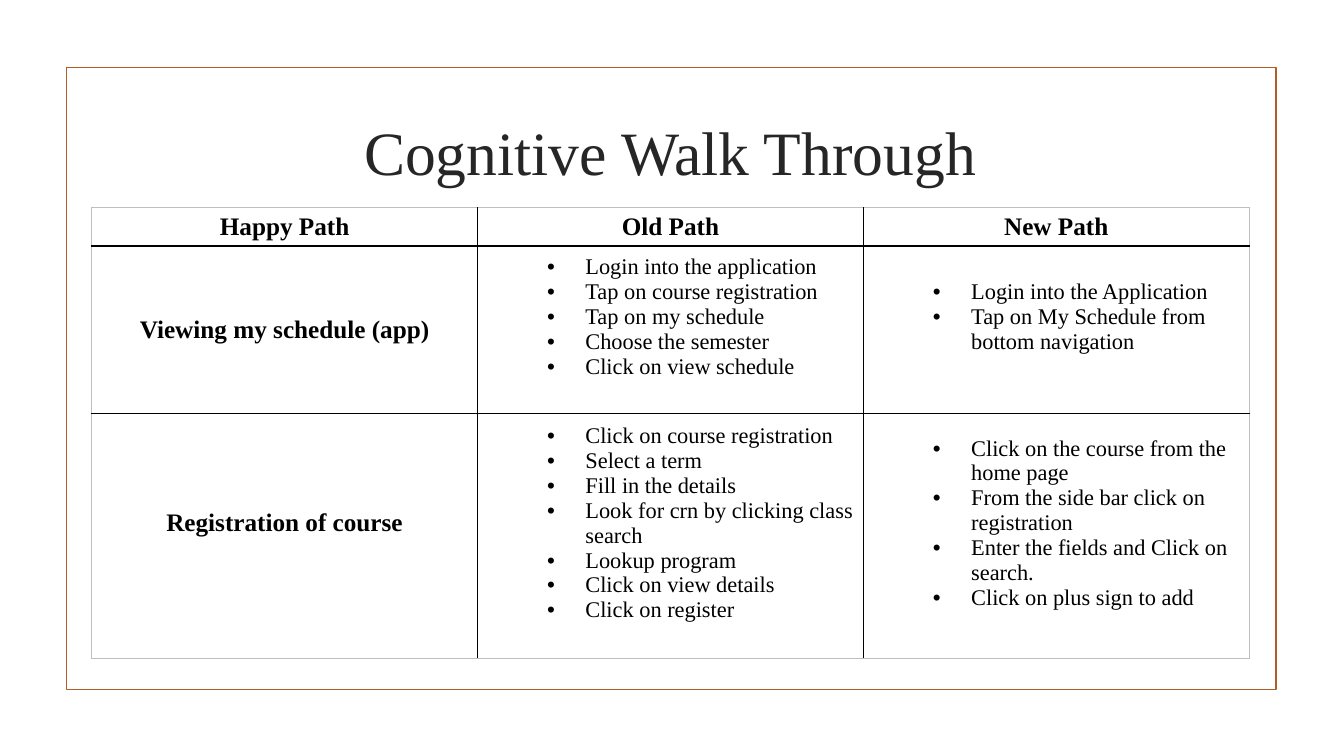
import pptx
import pptx.util
import pptx.dml.color
import pptx.enum.shapes
import pptx.enum.text
import pptx.oxml
import pptx.oxml.ns
from dataclasses import dataclass

TITLE = "Cognitive Walk Through"
HEADERS = ["Happy Path", "Old Path", "New Path"]
TASKS = [
    ("Viewing my schedule (app)",
     ["Login into the application", "Tap on course registration", "Tap on my schedule",
      "Choose the semester", "Click on view schedule"],
     ["Login into the Application", "Tap on My Schedule from bottom navigation"]),
    ("Registration of course",
     ["Click on course registration", "Select a term", "Fill in the details",
      "Look for crn by clicking class search", "Lookup program",
      "Click on view details", "Click on register"],
     ["Click on the course from the home page", "From the side bar click on registration",
      "Enter the fields and Click on search.", "Click on plus sign to add"]),
]


@dataclass(frozen=True)
class Theme:
    font: str = "Times New Roman"
    title_color: str = "262626"
    text_color: str = "000000"
    frame_color: str = "B15E28"
    inner_color: str = "000000"
    outer_color: str = "BFBFBF"
    paper: str = "FFFFFF"
    title_size: int = 44
    head_size: int = 18
    step_size: int = 16
    frame_width: float = 1.25
    border_width: float = 1


THEME = Theme()
WIDTH, HEIGHT = 13.33, 7.5
FRAME = (0.66, 0.67, 12, 6.17)
TITLE_BOX = (1.4, 0.94, 10.5, 1.12)
TABLE_LEFT, TABLE_TOP, TABLE_WIDTH = 0.91, 2.06, 11.48
ROW_HEIGHTS = [0.38, 1.66, 2.43]
STEP_INDENT, STEP_HANG, RAISED_BOTTOM = 0.97, 0.38, 0.3


def inches(*lengths):
    return [pptx.util.Inches(length) for length in lengths]


def color(value):
    return pptx.dml.color.RGBColor.from_string(value)


def apply(target, formats):
    for name, value in formats.items():
        setattr(target, name, value)


def style_font(font, size, value, bold=False):
    apply(font, {"name": THEME.font, "size": pptx.util.Pt(size), "bold": bold})
    font.color.rgb = color(value)


def add_frame(page):
    frame = page.shapes.add_shape(pptx.enum.shapes.MSO_SHAPE.RECTANGLE, *inches(*FRAME))
    frame.shadow.inherit = False
    frame.fill.background()
    frame.line.color.rgb = color(THEME.frame_color)
    frame.line.width = pptx.util.Pt(THEME.frame_width)


def add_title(page):
    title = page.shapes.title
    apply(title, dict(zip(("left", "top", "width", "height"), inches(*TITLE_BOX))))
    title.text_frame.vertical_anchor = pptx.enum.text.MSO_ANCHOR.MIDDLE
    para = title.text_frame.paragraphs[0]
    para.text = TITLE
    para.alignment = pptx.enum.text.PP_ALIGN.CENTER
    style_font(para.runs[0].font, THEME.title_size, THEME.title_color)


def set_borders(cell, outer_sides):
    properties = cell._tc.get_or_add_tcPr()
    width = pptx.util.Pt(THEME.border_width)
    for position, side in enumerate("LRTB"):
        value = THEME.outer_color if side in outer_sides else THEME.inner_color
        properties.insert(position, pptx.oxml.parse_xml(
            f'<a:ln{side} {pptx.oxml.ns.nsdecls("a")} w="{width}"><a:solidFill>'
            f'<a:srgbClr val="{value}"/></a:solidFill></a:ln{side}>'))


def add_steps(cell, steps):
    for index, step in enumerate(steps):
        frame = cell.text_frame
        para = frame.add_paragraph() if index else frame.paragraphs[0]
        para.text = step
        para.level = 1
        properties = para._p.get_or_add_pPr()
        left, hang = inches(STEP_INDENT, STEP_HANG)
        properties.set("marL", str(left))
        properties.set("indent", str(-hang))
        for xml in ('<a:buFont {} typeface="Arial"/>', '<a:buChar {} char="•"/>'):
            properties.append(pptx.oxml.parse_xml(xml.format(pptx.oxml.ns.nsdecls("a"))))
        style_font(para.runs[0].font, THEME.step_size, THEME.text_color)


def add_label(cell, label):
    para = cell.text_frame.paragraphs[0]
    para.text = label
    para.alignment = pptx.enum.text.PP_ALIGN.CENTER
    style_font(para.runs[0].font, THEME.head_size, THEME.text_color, True)


def add_paths(page):
    grid = [HEADERS, *TASKS]
    last_row, last_column = len(grid) - 1, len(HEADERS) - 1
    table = page.shapes.add_table(
        len(grid), len(HEADERS),
        *inches(TABLE_LEFT, TABLE_TOP, TABLE_WIDTH, sum(ROW_HEIGHTS))).table
    apply(table, {"first_row": False, "horz_banding": False})
    for row, height in zip(table.rows, ROW_HEIGHTS):
        row.height = pptx.util.Inches(height)
    for column in table.columns:
        column.width = pptx.util.Inches(TABLE_WIDTH / len(HEADERS))
    for r, contents in enumerate(grid):
        for c, content in enumerate(contents):
            cell = table.cell(r, c)
            is_steps = isinstance(content, list)
            cell.vertical_anchor = pptx.enum.text.MSO_ANCHOR.MIDDLE
            if is_steps or r == last_row:
                cell.margin_bottom = pptx.util.Inches(RAISED_BOTTOM)
            cell.fill.solid()
            cell.fill.fore_color.rgb = color(THEME.paper)
            edges = {"L": c == 0, "R": c == last_column, "T": r == 0, "B": r == last_row}
            set_borders(cell, [side for side, outer in edges.items() if outer])
            if is_steps:
                add_steps(cell, content)
            else:
                add_label(cell, content)


def main():
    deck = pptx.Presentation()
    deck.slide_width, deck.slide_height = inches(WIDTH, HEIGHT)
    page = deck.slides.add_slide(deck.slide_layouts[5])
    add_frame(page)
    add_title(page)
    add_paths(page)
    deck.save("out.pptx")


if __name__ == "__main__":
    main()
